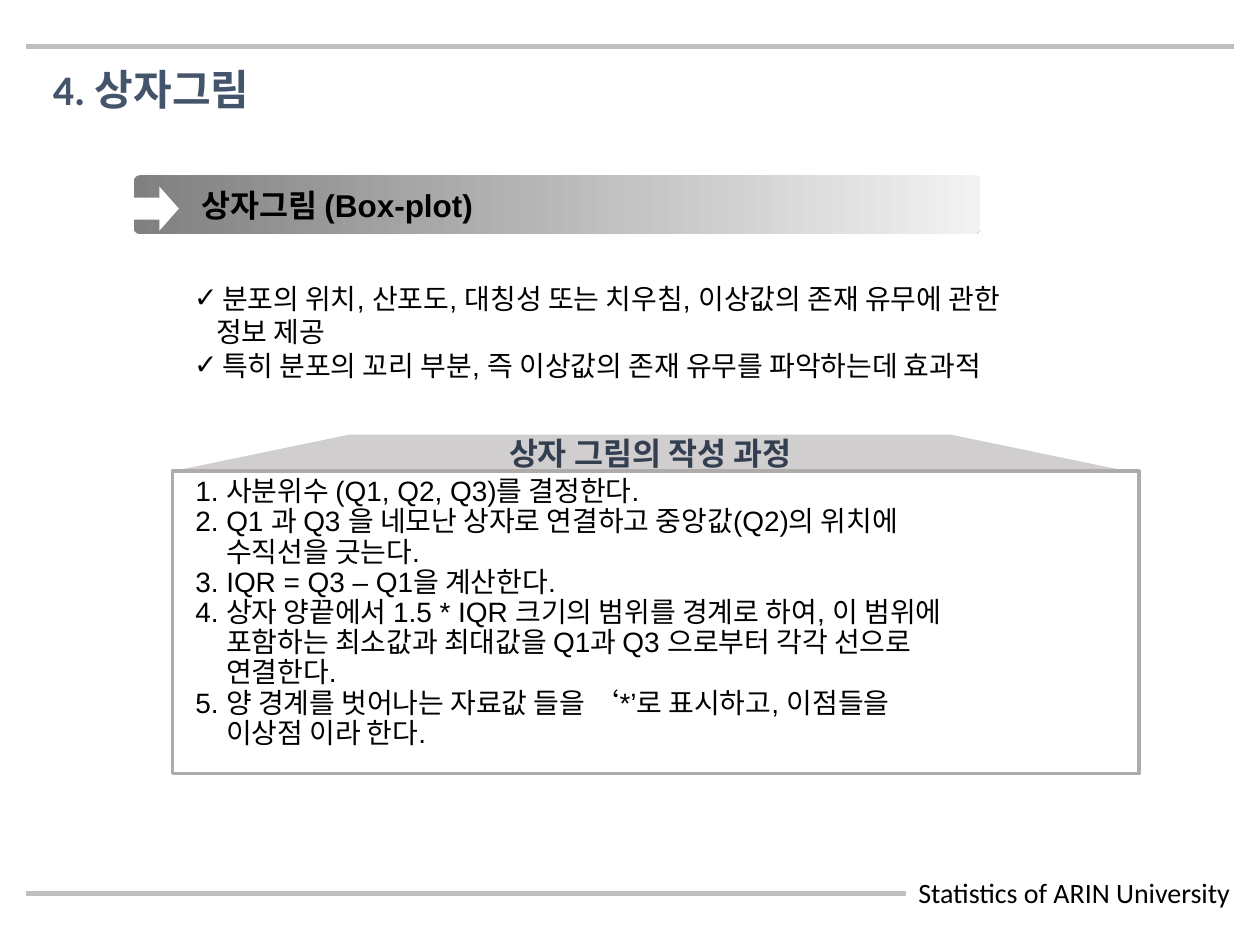
from lxml import etree
from pptx import Presentation
from pptx.dml.color import RGBColor
from pptx.enum.shapes import MSO_CONNECTOR, MSO_SHAPE
from pptx.enum.text import MSO_ANCHOR, MSO_AUTO_SIZE, PP_ALIGN
from pptx.oxml.ns import qn
from pptx.util import Pt

STRAIGHT = MSO_CONNECTOR.STRAIGHT
ROUNDED, ARROW, RECTANGLE = MSO_SHAPE.ROUNDED_RECTANGLE, MSO_SHAPE.RIGHT_ARROW, MSO_SHAPE.RECTANGLE
TOP, MIDDLE = MSO_ANCHOR.TOP, MSO_ANCHOR.MIDDLE
LEFT, CENTER = PP_ALIGN.LEFT, PP_ALIGN.CENTER
NO_AUTOFIT = MSO_AUTO_SIZE.NONE


def color(hex_string):
    return RGBColor.from_string(hex_string)


def write(shape, lines, size, font="Arial", ink="000000", bold=False,
          align=LEFT, anchor=TOP, wrap=True):
    frame = shape.text_frame
    frame.text = "\n".join(lines)
    frame.word_wrap = wrap
    frame.auto_size = NO_AUTOFIT
    frame.vertical_anchor = anchor
    for paragraph in frame.paragraphs:
        paragraph.alignment = align
        paragraph.space_before = Pt(0)
        for run in paragraph.runs:
            run.font.size = Pt(size)
            run.font.name = font
            run.font.bold = bold
            run.font.color.rgb = color(ink)
    return frame


prs = Presentation()
prs.slide_width, prs.slide_height = Pt(720), Pt(540)
slide = prs.slides.add_slide(prs.slide_layouts[3])
shapes = slide.shapes
title, features, steps = slide.placeholders

for y in (26.6, 510.5):
    rule = shapes.add_connector(STRAIGHT, Pt(15), Pt(y), Pt(705), Pt(y))
    rule.line.color.rgb = color("BFBFBF")
    rule.line.width = Pt(3)
    etree.SubElement(rule._element.spPr, qn("a:effectLst"))

footer = shapes.add_textbox(Pt(517.7), Pt(496.8), Pt(196.6), Pt(26.6))
footer.fill.solid()
footer.fill.fore_color.rgb = color("FFFFFF")
write(footer, ["Statistics of ARIN University"], 16, "Calibri", wrap=False)

title.left, title.top, title.width, title.height = Pt(23), Pt(32.4), Pt(135.4), Pt(36)
write(title, ["4. 상자그림"], 24, "Calibri", "44546A", bold=True, wrap=False)

banner = shapes.add_shape(ROUNDED, Pt(76.3), Pt(100.1), Pt(483.8), Pt(33.8))
banner.adjustments[0] = 0.11
banner.fill.gradient()
banner.fill.gradient_angle = 0
for stop, shade in zip(banner.fill.gradient_stops, ("808080", "F2F2F2")):
    stop.color.rgb = color(shade)

pointer = shapes.add_shape(ARROW, Pt(74.2), Pt(106.6), Pt(28), Pt(25.2))
pointer.adjustments[1] = 0.44
pointer.fill.solid()
pointer.fill.fore_color.rgb = color("FFFFFF")

heading = shapes.add_textbox(Pt(108), Pt(103), Pt(446.4), Pt(28.8))
write(heading, ["상자그림 (Box-plot)"], 18, bold=True)

outline = shapes.build_freeform(Pt(98.6), Pt(269.3))
outline.add_line_segments([(Pt(199.4), Pt(248.4)), (Pt(543.6), Pt(248.4)), (Pt(644.4), Pt(269.3))])
roof = outline.convert_to_shape()
roof.fill.solid()
roof.fill.fore_color.rgb = color("D0CECE")
roof_frame = write(roof, ["상자 그림의 작성 과정"], 18, ink="333F50", bold=True,
                   align=CENTER, anchor=MIDDLE, wrap=False)
roof_frame.margin_top = roof_frame.margin_bottom = 0

process_box = shapes.add_shape(RECTANGLE, Pt(98.6), Pt(269.3), Pt(552.2), Pt(172.8))
process_box.fill.background()
process_box.line.color.rgb = color("AFABAB")
process_box.line.width = Pt(2)

for plain in (banner, pointer, roof):
    plain.line.fill.background()
for shadowless in (banner, pointer, roof, process_box):
    shadowless.shadow.inherit = False

feature_lines = [
    ("✓", "분포의 위치, 산포도, 대칭성 또는 치우침, 이상값의 존재 유무에 관한"),
    ("", "정보 제공"),
    ("✓", "특히 분포의 꼬리 부분, 즉 이상값의 존재 유무를 파악하는데 효과적"),
]
step_lines = [
    "1. 사분위수 (Q1, Q2, Q3)를 결정한다.",
    "2. Q1 과 Q3 을 네모난 상자로 연결하고 중앙값(Q2)의 위치에",
    "수직선을 긋는다.",
    "3. IQR = Q3 – Q1을 계산한다.",
    "4. 상자 양끝에서 1.5 * IQR 크기의 범위를 경계로 하여, 이 범위에",
    "포함하는 최소값과 최대값을 Q1과 Q3 으로부터 각각 선으로",
    "연결한다.",
    "5. 양 경계를 벗어나는 자료값 들을 ‘*’로 표시하고, 이점들을",
    "이상점 이라 한다.",
]

features.left, features.top, features.width, features.height = Pt(103.7), Pt(157), Pt(570.2), Pt(65.5)
feature_frame = write(features, [line for _, line in feature_lines], 16)
for paragraph, (mark, _) in zip(feature_frame.paragraphs, feature_lines):
    properties = paragraph._p.get_or_add_pPr()
    properties.set("marL", str(Pt(16 if mark else 12.6)))
    properties.set("indent", str(Pt(-16 if mark else 0)))
    if mark:
        etree.SubElement(properties, qn("a:buChar")).set("char", mark)
    else:
        etree.SubElement(properties, qn("a:buNone"))

steps.left, steps.top, steps.width, steps.height = Pt(104.4), Pt(269.3), Pt(540), Pt(143.3)
step_frame = write(steps, step_lines, 16)
for paragraph, line in zip(step_frame.paragraphs, step_lines):
    numbered = line[0].isdigit()
    paragraph.line_spacing = 0.9
    properties = paragraph._p.get_or_add_pPr()
    properties.set("marL", str(Pt(27.4 if numbered else 17.6)))
    properties.set("indent", str(Pt(-27.4 if numbered else 0)))
    etree.SubElement(properties, qn("a:buNone"))

prs.save("out.pptx")
